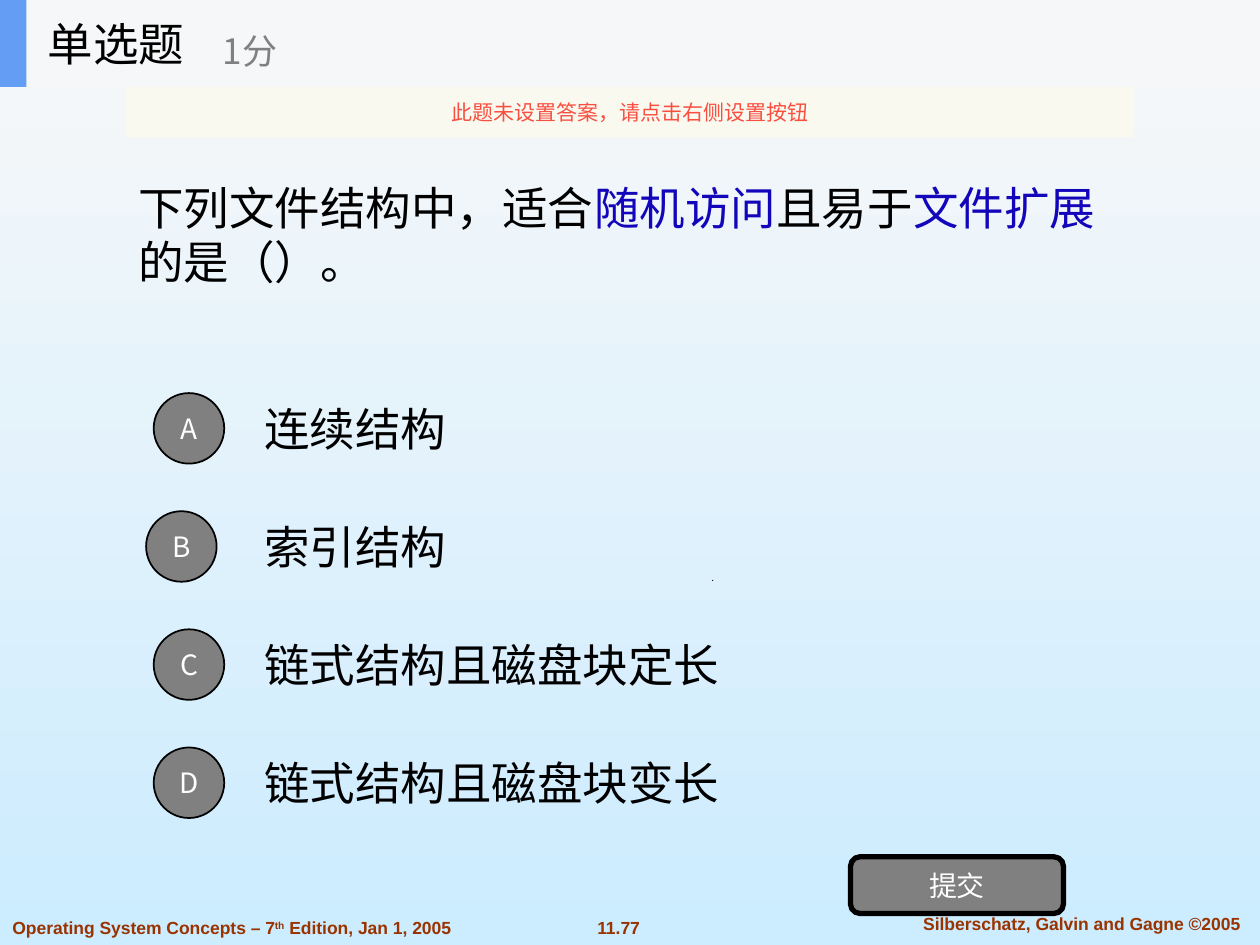
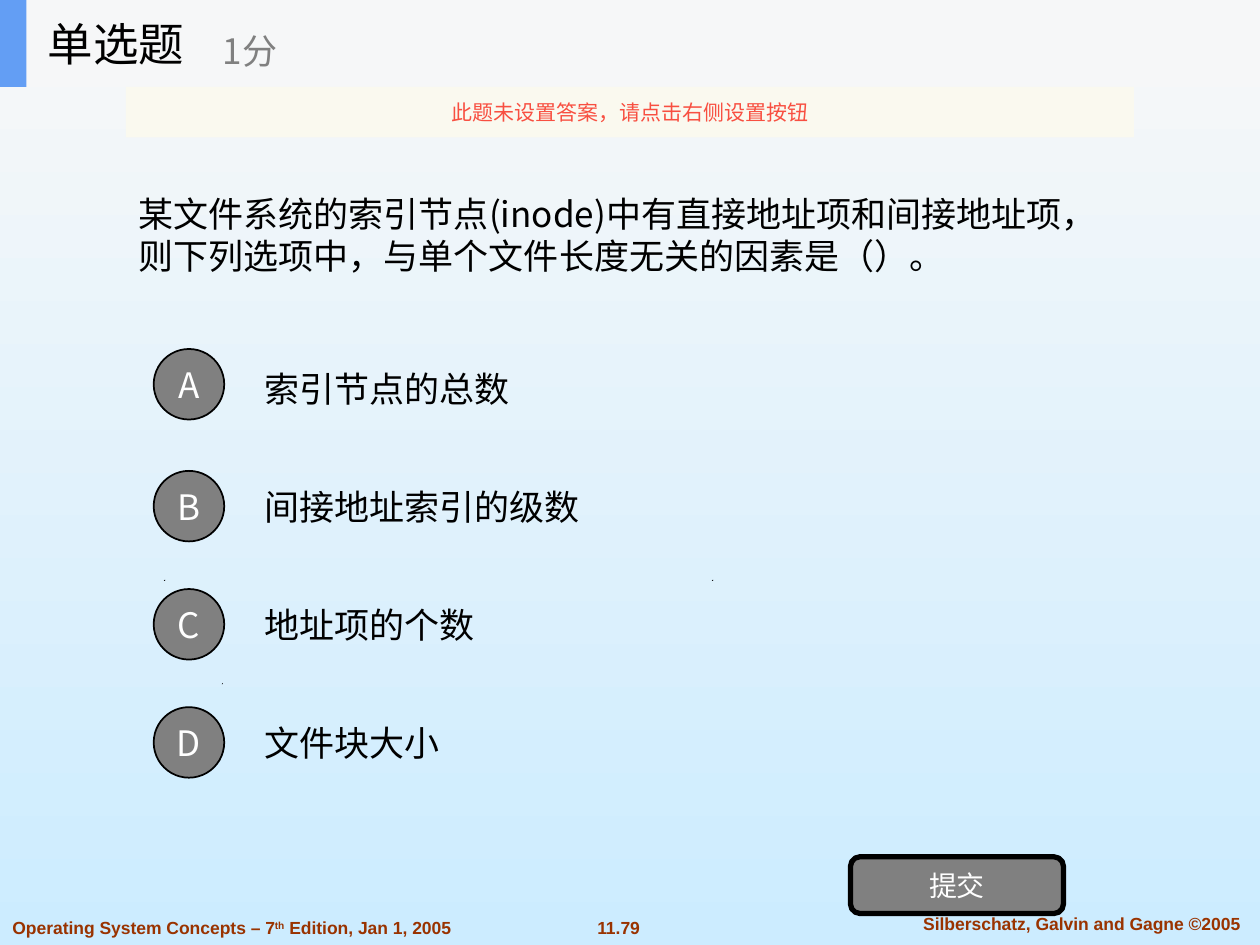
from dataclasses import dataclass

import pptx
import pptx.dml.color
import pptx.enum.shapes
import pptx.enum.text
import pptx.oxml.ns
import pptx.util
from lxml import etree
from pptx.util import Inches

# Shared look
BODY_FONT = "Noto Sans CJK SC"
FOOTER_FONT = "Arial"
BLACK, WHITE, GRAY = "000000", "FFFFFF", "808080"
KEYWORD_BLUE = "1306BA"
ACCENT_BLUE = "639EF4"
HEADER_FILL = "F6F7F8"
NOTICE_FILL, NOTICE_TEXT = "FBFAEF", "F84F41"
FOOTER_BROWN = "993300"
BACKGROUND_TOP, BACKGROUND_BOTTOM = "F8F8F8", "CCECFF"

SLIDE_WIDTH, SLIDE_HEIGHT = 10, 7.5
HEADER_HEIGHT = 0.69
OPTION_PITCH = SLIDE_HEIGHT / 8
OPTION_HEIGHT = 0.7
BADGE_SIZE = 0.56
SPECK_SIZE = 0.01

SHAPES = pptx.enum.shapes.MSO_SHAPE
ANCHOR = pptx.enum.text.MSO_ANCHOR
ALIGN = pptx.enum.text.PP_ALIGN


@dataclass(frozen=True)
class Box:
    left: float
    top: float
    width: float
    height: float

    def lengths(self) -> tuple:
        return tuple(Inches(side) for side in
                     (self.left, self.top, self.width, self.height))


@dataclass(frozen=True)
class Run:
    text: str
    size: float
    color: str = BLACK
    font: str = BODY_FONT
    bold: bool = False
    superscript: bool = False


@dataclass(frozen=True)
class Option:
    letter: str
    text: str
    badge_shift: tuple[float, float] = (0, 0)


@dataclass(frozen=True)
class Question:
    number: str
    runs: list[Run]
    options: list[Option]
    options_top: float
    option_size: float
    badge_text_size: float
    specks: list[tuple[float, float]]


# Drawing helpers
def color(value: str) -> pptx.dml.color.RGBColor:
    return pptx.dml.color.RGBColor.from_string(value)


def write(shape, runs: list[Run], align=ALIGN.LEFT, anchor=ANCHOR.MIDDLE,
          wrap: bool = True) -> None:
    frame = shape.text_frame
    frame.word_wrap = wrap
    frame.auto_size = pptx.enum.text.MSO_AUTO_SIZE.NONE
    frame.vertical_anchor = anchor
    paragraph = frame.paragraphs[0]
    paragraph.alignment = align
    for item in runs:
        run = paragraph.add_run()
        run.text = item.text
        run.font.size = pptx.util.Pt(item.size)
        run.font.bold = item.bold
        run.font.color.rgb = color(item.color)
        run.font.name = item.font
        properties = run.font._element
        east_asian = etree.SubElement(properties, pptx.oxml.ns.qn("a:ea"))
        east_asian.set("typeface", item.font)
        if item.superscript:
            properties.set("baseline", "30000")


def add_text(slide, box: Box, runs: list[Run], **layout):
    shape = slide.shapes.add_textbox(*box.lengths())
    write(shape, runs, **layout)
    return shape


def add_panel(slide, kind, box: Box, fill: str, line_width: float = 0,
              label: Run | None = None):
    shape = slide.shapes.add_shape(kind, *box.lengths())
    shape.shadow.inherit = False
    shape.fill.solid()
    shape.fill.fore_color.rgb = color(fill)
    if line_width:
        shape.line.color.rgb = color(BLACK)
        shape.line.width = pptx.util.Pt(line_width)
    else:
        shape.line.fill.background()
    if label:
        frame = shape.text_frame
        frame.margin_left = frame.margin_right = 0
        frame.margin_top = frame.margin_bottom = 0
        write(shape, [label], align=ALIGN.CENTER)
    return shape


def add_speck(slide, left: float, top: float) -> None:
    right, bottom = Inches(left + SPECK_SIZE), Inches(top + SPECK_SIZE)
    builder = slide.shapes.build_freeform(Inches(left), bottom)
    builder.add_line_segments([(right, Inches(top)), (right, bottom)])
    speck = builder.convert_to_shape()
    speck.shadow.inherit = False
    speck.fill.solid()
    speck.fill.fore_color.rgb = color(BLACK)
    speck.line.fill.background()


# Parts found on every slide
def set_background(slide) -> None:
    fill = slide.background.fill
    fill.gradient()
    fill.gradient_angle = 270
    for stop, value in zip(fill.gradient_stops,
                           (BACKGROUND_TOP, BACKGROUND_BOTTOM)):
        stop.color.rgb = color(value)


def add_footer(slide, number: str) -> None:
    def footer_run(text: str, superscript: bool = False) -> Run:
        return Run(text, 10, FOOTER_BROWN, FOOTER_FONT, True, superscript)

    add_text(slide, Box(4.63, 7.23, 0.56, 0.27), [footer_run(number)],
             align=ALIGN.CENTER, anchor=ANCHOR.TOP, wrap=False)
    add_text(slide, Box(7.1, 7.2, 2.97, 0.27),
             [footer_run("Silberschatz, Galvin and Gagne ©2005")],
             align=ALIGN.CENTER, anchor=ANCHOR.TOP)
    add_text(slide, Box(0, 7.23, 3.69, 0.27),
             [footer_run("Operating System Concepts – 7"),
              footer_run("th", superscript=True),
              footer_run(" Edition, Jan 1, 2005")], anchor=ANCHOR.TOP)


def add_header(slide) -> None:
    add_panel(slide, SHAPES.RECTANGLE,
              Box(0, 0, SLIDE_WIDTH, HEADER_HEIGHT), HEADER_FILL)
    accent = add_panel(slide, SHAPES.RECTANGLE,
                       Box(0, 0, 0.21, HEADER_HEIGHT), ACCENT_BLUE)
    title = slide.shapes.title
    title.left, title.top, title.width, title.height = Box(
        0.28, 0, 2.08, HEADER_HEIGHT).lengths()
    write(title, [Run("单选题", 26)])
    accent.element.addnext(title.element)  # bring the title above the band
    add_text(slide, Box(1.67, 0.12, 2.5, 0.56), [Run("1分", 20, GRAY)])


def add_notice(slide) -> None:
    notice = add_panel(slide, SHAPES.RECTANGLE,
                       Box(1, HEADER_HEIGHT, 8, 0.4), NOTICE_FILL,
                       label=Run("此题未设置答案，请点击右侧设置按钮", 12,
                                 NOTICE_TEXT))
    solid_fill = notice.element.spPr.find(pptx.oxml.ns.qn("a:solidFill"))
    alpha = etree.SubElement(solid_fill[0], pptx.oxml.ns.qn("a:alpha"))
    alpha.set("val", "90000")


def add_submit_button(slide) -> None:
    add_panel(slide, SHAPES.ROUNDED_RECTANGLE, Box(6.75, 6.8, 1.69, 0.45),
              GRAY, 3, Run("提交", 16, WHITE))


# Question content
def add_options(slide, question: Question) -> None:
    for row, option in enumerate(question.options):
        top = question.options_top + row * OPTION_PITCH
        add_text(slide, Box(2, top, 7, OPTION_HEIGHT),
                 [Run(option.text, question.option_size)])
        shift_x, shift_y = option.badge_shift
        badge_top = top + (OPTION_HEIGHT - BADGE_SIZE) / 2
        add_panel(slide, SHAPES.OVAL,
                  Box(1.22 + shift_x, badge_top + shift_y,
                      BADGE_SIZE, BADGE_SIZE),
                  GRAY, 1, Run(option.letter, question.badge_text_size, WHITE))


def add_question_slide(presentation, question: Question) -> None:
    slide = presentation.slides.add_slide(presentation.slide_layouts[5])
    set_background(slide)
    for left, top in question.specks:
        add_speck(slide, left, top)
    add_footer(slide, question.number)
    add_text(slide, Box(1, HEADER_HEIGHT, 8, 2.34), question.runs)
    add_options(slide, question)
    add_submit_button(slide)
    add_header(slide)
    add_notice(slide)


QUESTIONS = [
    Question(
        number="11.77",
        runs=[Run("下列文件结构中，适合", 26),
              Run("随机访问", 26, KEYWORD_BLUE),
              Run("且易于", 26),
              Run("文件扩展", 26, KEYWORD_BLUE),
              Run("的是（）。", 26)],
        options=[Option("A", "连续结构"),
                 Option("B", "索引结构", (-0.06, 0)),
                 Option("C", "链式结构且磁盘块定长"),
                 Option("D", "链式结构且磁盘块变长")],
        options_top=3.05, option_size=26, badge_text_size=16,
        specks=[(5.65, 4.6)]),
    Question(
        number="11.79",
        runs=[Run("某文件系统的索引节点(inode)中有直接地址项和间接地址项，"
                  "则下列选项中，与单个文件长度无关的因素是（）。", 20)],
        options=[Option("A", "索引节点的总数", (0, -0.03)),
                 Option("B", "间接地址索引的级数"),
                 Option("C", "地址项的个数"),
                 Option("D", "文件块大小")],
        options_top=2.73, option_size=20, badge_text_size=20,
        specks=[(1.76, 5.42), (1.3, 4.6), (5.65, 4.6)]),
]


def main() -> None:
    presentation = pptx.Presentation()
    presentation.slide_width = Inches(SLIDE_WIDTH)
    presentation.slide_height = Inches(SLIDE_HEIGHT)
    for question in QUESTIONS:
        add_question_slide(presentation, question)
    presentation.save("out.pptx")


if __name__ == "__main__":
    main()
